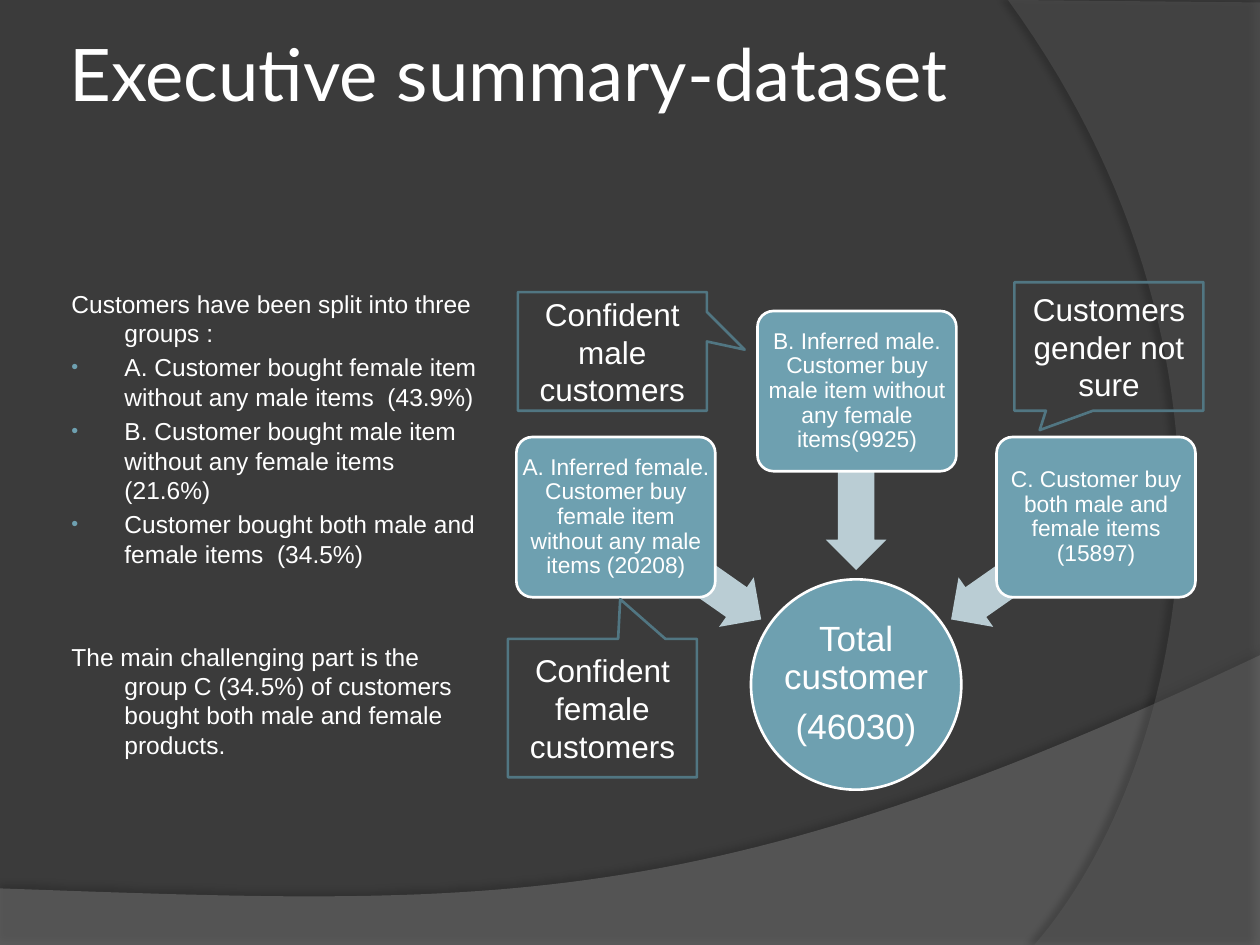
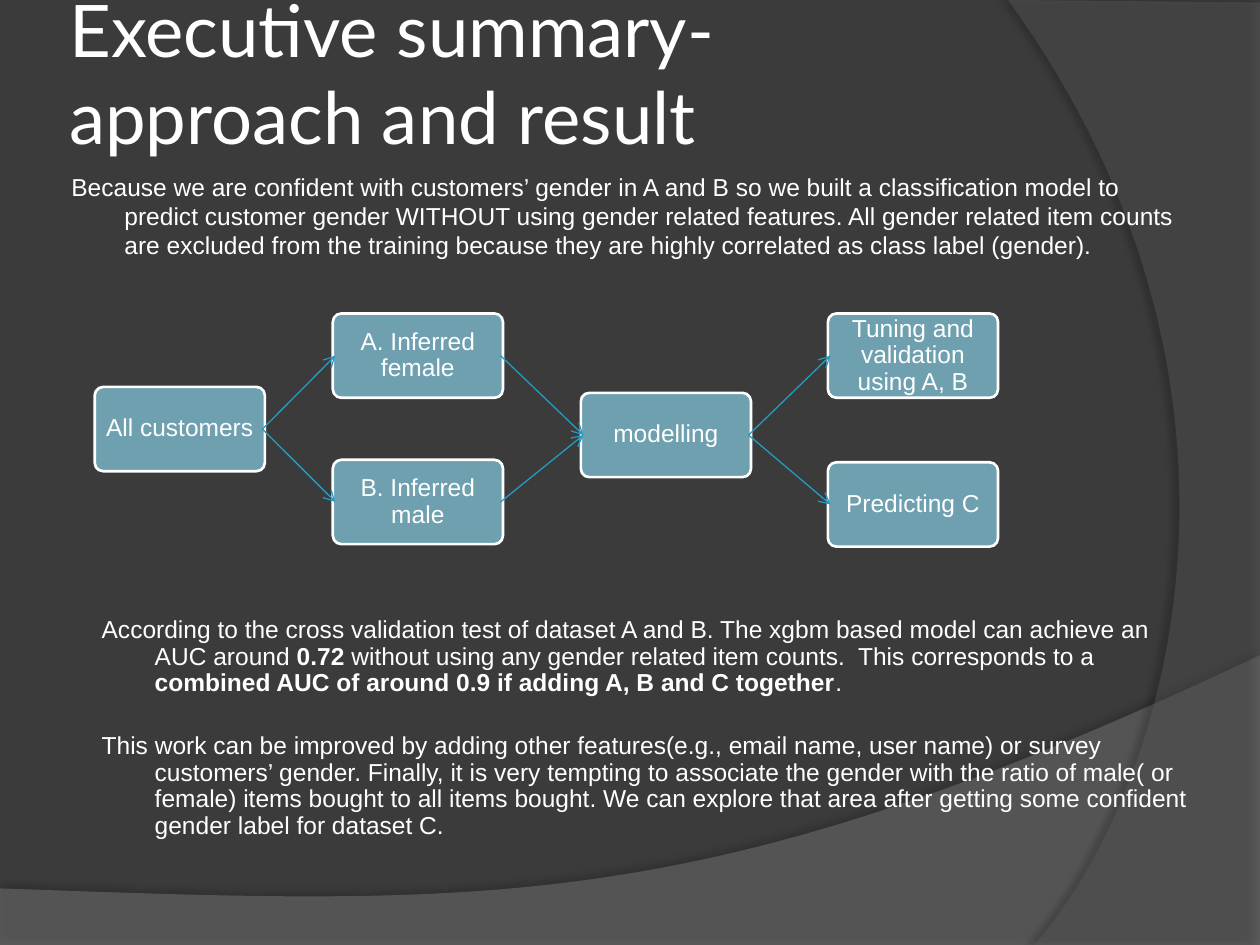
from lxml import etree
from pptx import Presentation
from pptx.dml.color import RGBColor
from pptx.enum.shapes import MSO_CONNECTOR, MSO_SHAPE
from pptx.enum.text import MSO_ANCHOR, PP_ALIGN
from pptx.oxml.ns import qn
from pptx.util import Cm, Pt

ROUNDED = MSO_SHAPE.ROUNDED_RECTANGLE
OVAL = MSO_SHAPE.OVAL
ARROW = MSO_SHAPE.LEFT_ARROW
CALLOUT = MSO_SHAPE.RECTANGULAR_CALLOUT
STRAIGHT = MSO_CONNECTOR.STRAIGHT
LEFT, CENTER = PP_ALIGN.LEFT, PP_ALIGN.CENTER
TOP, MIDDLE = MSO_ANCHOR.TOP, MSO_ANCHOR.MIDDLE

COLORS = {
    "background": "3B3B3B",
    "wave": "7F7F7F",
    "arc": "5E5E5E",
    "shadow": "000000",
    "text": "FFFFFF",
    "box": "6EA0B0",
    "arrow": "BACDD4",
    "callout": "517682",
    "connector": "239BC2",
}
COLOR = {name: RGBColor.from_string(value) for name, value in COLORS.items()}
BODY_FONT, TITLE_FONT = "Arial", "Lato"


def write_text(shape, paragraphs, size, font=BODY_FONT, align=LEFT, anchor=TOP,
               line_spacing=1.0, hanging=False, insets=(0.25, 0.13, 0.25, 0.13)):
    frame = shape.text_frame
    frame.word_wrap = True
    frame.vertical_anchor = anchor
    frame.margin_left, frame.margin_top, frame.margin_right, frame.margin_bottom = [
        Cm(inset) for inset in insets]
    for index, (runs, space_before, bullet) in enumerate(paragraphs):
        paragraph = frame.paragraphs[0] if index == 0 else frame.add_paragraph()
        paragraph.alignment = align
        paragraph.line_spacing = line_spacing
        paragraph.space_before = Pt(space_before)
        properties = paragraph._p.get_or_add_pPr()
        if hanging:
            properties.set("marL", str(Cm(1.17)))
            properties.set("indent", str(Cm(-1.07)))
        if bullet:
            color = etree.SubElement(properties, qn("a:buClr"))
            etree.SubElement(color, qn("a:srgbClr"), val=COLORS["box"])
            etree.SubElement(properties, qn("a:buSzPct"), val="80000")
            etree.SubElement(properties, qn("a:buFont"), typeface="Arial")
            etree.SubElement(properties, qn("a:buChar"), char="•")
        for text, bold in runs:
            run = paragraph.add_run()
            run.text = text
            run.font.name = font
            run.font.size = Pt(size)
            run.font.bold = bold
            run.font.color.rgb = COLOR["text"]


def add_shape(slide, kind, left, top, width, height, fill, line, adjustments=()):
    shape = slide.shapes.add_shape(kind, Cm(left), Cm(top), Cm(width), Cm(height))
    shape.shadow.inherit = False
    for index, value in enumerate(adjustments):
        shape.adjustments[index] = value
    if fill:
        shape.fill.solid()
        shape.fill.fore_color.rgb = COLOR[fill]
    else:
        shape.fill.background()
    if line:
        shape.line.color.rgb = COLOR[line]
        shape.line.width = Pt(1.5)
    else:
        shape.line.fill.background()
    return shape


presentation = Presentation()
presentation.slide_width = Cm(25.4)
presentation.slide_height = Cm(19.05)

bands = [
    ("wave", 45, [(0, 17.91), (0, 19.05), (25.4, 19.05)],
     [(25.4, 13.21), (14.2, 18.52), (9.93, 18.26), (0, 17.91)], (35, 3.5, 270)),
    ("arc", 40, [(25.4, 0.05), (25.4, 19.05)],
     [(20.85, 19.05), (23.75, 15.72), (25.86, 7.62), (20.32, 0)], (45, 4, 180)),
]
titles = [["Executive summary-dataset"], ["Executive summary-", "approach and result"]]
STEPS = 60

slides = []
for title_lines in titles:
    slide = presentation.slides.add_slide(presentation.slide_layouts[6])
    slides.append(slide)
    slide.background.fill.solid()
    slide.background.fill.fore_color.rgb = COLOR["background"]
    for name, opacity, corners, curve, (shadow_opacity, distance, angle) in bands:
        points = list(corners)
        for step in range(STEPS + 1):
            t = step / STEPS
            weights = ((1 - t) ** 3, 3 * t * (1 - t) ** 2, 3 * t ** 2 * (1 - t), t ** 3)
            points.append(tuple(
                sum(weight * point[axis] for weight, point in zip(weights, curve))
                for axis in (0, 1)))
        points = [(Cm(x), Cm(y)) for x, y in points]
        builder = slide.shapes.build_freeform(*points[0])
        builder.add_line_segments(points[1:], close=True)
        band = builder.convert_to_shape()
        band.fill.solid()
        band.fill.fore_color.rgb = COLOR[name]
        band.line.fill.background()
        band.shadow.inherit = False
        properties = band._element.spPr
        fill_color = properties.find(qn("a:solidFill")).find(qn("a:srgbClr"))
        etree.SubElement(fill_color, qn("a:alpha"), val=str(opacity * 1000))
        shadow = etree.SubElement(
            properties.find(qn("a:effectLst")), qn("a:outerShdw"), blurRad=str(Pt(4)),
            dist=str(Pt(distance)), dir=str(angle * 60000), rotWithShape="0")
        shadow_color = etree.SubElement(shadow, qn("a:srgbClr"), val=COLORS["shadow"])
        etree.SubElement(shadow_color, qn("a:alpha"), val=str(shadow_opacity * 1000))
    title = slide.shapes.add_textbox(Cm(1.27), Cm(0.76), Cm(20.75), Cm(3.18))
    write_text(title, [([(line, False)], 0, False) for line in title_lines], 41.4,
               TITLE_FONT, anchor=MIDDLE, insets=(0.13, 0.13, 0.13, 1.91))

dataset_slide, approach_slide = slides

groups = [
    ("Customers have been split into three groups :", 2.8, False),
    ("A. Customer bought female item without any male items  (43.9%)", 2.8, True),
    ("B. Customer bought male item without any female items (21.6%)", 2.8, True),
    ("Customer bought both male and female items  (34.5%)", 2.8, True),
    ("The main challenging part is the group C (34.5%) of customers bought both male "
     "and female products.", 42, False),
]
body = dataset_slide.shapes.add_textbox(Cm(1.09), Cm(5.69), Cm(8.84), Cm(10.01))
write_text(body, [([(text, False)], space, bullet) for text, space, bullet in groups],
           14, hanging=True)

total = add_shape(dataset_slide, OVAL, 15.14, 11.68, 4.24, 4.24, "box", "text")
write_text(total, [([("Total customer", False)], 0, False), ([("(46030)", False)], 7, False)],
           20, align=CENTER, anchor=MIDDLE, line_spacing=0.9, insets=(0, 0, 0, 0))

sources = [
    (10.41, 8.81, 12.09, 10.85, 215,
     "A. Inferred female. Customer buy female item without any male items (20208)"),
    (15.27, 6.27, 15.47, 9.09, 270,
     "B. Inferred male. Customer buy male item without any female items(9925)"),
    (20.09, 8.81, 18.85, 10.85, 325,
     "C. Customer buy both male and female items (15897)"),
]
for left, top, arrow_left, arrow_top, rotation, text in sources:
    arrow = add_shape(dataset_slide, ARROW, arrow_left, arrow_top, 3.58, 1.22,
                      "arrow", None, (0.6, 0.5))
    arrow.rotation = rotation
    box = add_shape(dataset_slide, ROUNDED, left, top, 4.01, 3.23, "box", "text", (0.1,))
    write_text(box, [([(text, False)], 0, False)], 13, align=CENTER, anchor=MIDDLE,
               line_spacing=0.9, insets=(0, 0, 0, 0))

callouts = [
    (10.24, 12.88, 2.79, (0.094, -0.787), "Confident female customers"),
    (20.45, 5.69, 2.59, (-0.366, 0.651), "Customers gender not sure"),
    (10.44, 5.89, 2.39, (0.7, -0.015), "Confident male customers"),
]
for left, top, height, pointer, text in callouts:
    callout = add_shape(dataset_slide, CALLOUT, left, top, 3.81, height,
                        None, "callout", pointer)
    write_text(callout, [([(text, False)], 0, False)], 18, align=CENTER, anchor=MIDDLE)

introduction = approach_slide.shapes.add_textbox(Cm(1.09), Cm(3.33), Cm(23.01), Cm(8))
write_text(introduction, [([(
    "Because we are confident with customers’ gender in A and B so we built a "
    "classification model to predict customer gender WITHOUT using gender related "
    "features. All gender related item counts are excluded from the training because "
    "they are highly correlated as class label (gender).", False)], 0, False)],
    14, hanging=True)

result_runs = [
    ("According to the cross validation test of dataset A and B. The xgbm based model "
     "can achieve an AUC around ", False),
    ("0.72", True),
    (" without using any gender related item counts.  This corresponds to a ", False),
    ("combined AUC of around 0.9 if adding A, B and C together", True),
    (".", False),
]
outlook_runs = [(
    "This work can be improved by adding other features(e.g., email name, user name) or "
    "survey customers’ gender. Finally, it is very tempting to associate the gender with "
    "the ratio of male( or female) items bought to all items bought. We can explore that "
    "area after getting some confident gender label for dataset C.", False)]
result = approach_slide.shapes.add_textbox(Cm(1.7), Cm(12.32), Cm(22.61), Cm(5.11))
write_text(result, [(result_runs, 2.8, False), (outlook_runs, 21, False)], 14,
           line_spacing=0.9, hanging=True)

STEP_WIDTH, STEP_HEIGHT, OVERLAP = 3.43, 1.7, 0.05
steps = {
    "All customers": (1.91, 7.8),
    "A. Inferred female": (6.71, 6.32),
    "B. Inferred male": (6.71, 9.27),
    "modelling": (11.71, 7.92),
    "Tuning and validation using A, B": (16.69, 6.32),
    "Predicting C": (16.69, 9.32),
}
for text, (left, top) in steps.items():
    box = add_shape(approach_slide, ROUNDED, left, top, STEP_WIDTH, STEP_HEIGHT,
                    "box", "text", (0.1,))
    write_text(box, [([(text, False)], 0, False)], 14, align=CENTER, anchor=MIDDLE,
               line_spacing=0.9, insets=(0, 0, 0, 0))

flows = [
    ("All customers", "A. Inferred female"),
    ("All customers", "B. Inferred male"),
    ("A. Inferred female", "modelling"),
    ("B. Inferred male", "modelling"),
    ("modelling", "Tuning and validation using A, B"),
    ("modelling", "Predicting C"),
]
for start, end in flows:
    start_left, start_top = steps[start]
    end_left, end_top = steps[end]
    connector = approach_slide.shapes.add_connector(
        STRAIGHT,
        Cm(start_left + STEP_WIDTH - OVERLAP), Cm(start_top + STEP_HEIGHT / 2),
        Cm(end_left + OVERLAP), Cm(end_top + STEP_HEIGHT / 2))
    connector.line.color.rgb = COLOR["connector"]
    connector.line.width = Pt(0.75)
    etree.SubElement(connector.line._get_or_add_ln(), qn("a:tailEnd"), type="arrow")
    etree.SubElement(connector._element.spPr, qn("a:effectLst"))

presentation.save("out.pptx")
